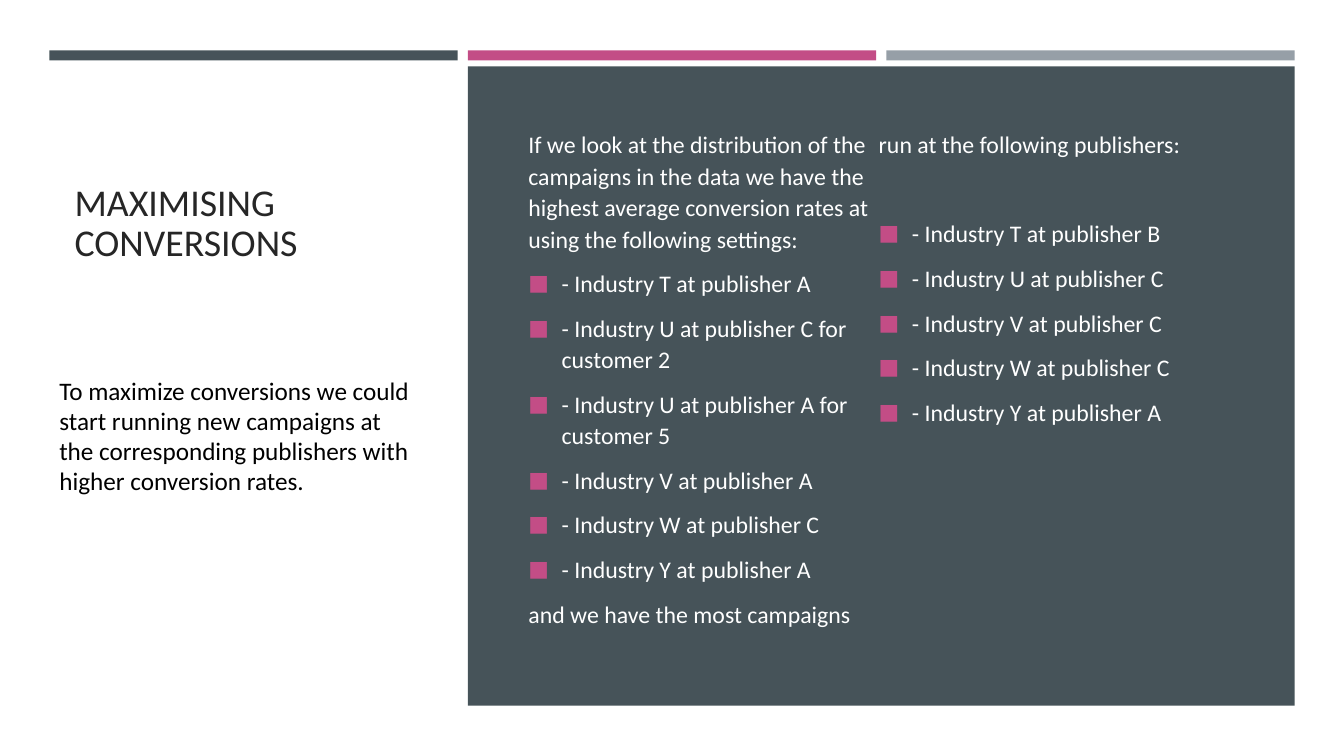
from lxml.etree import SubElement
from pptx import Presentation
from pptx.dml.color import RGBColor
from pptx.enum.shapes import MSO_SHAPE
from pptx.enum.text import MSO_ANCHOR, MSO_AUTO_SIZE, PP_ALIGN
from pptx.oxml.ns import qn
from pptx.util import Inches, Pt

SLATE, PINK, GREY, WHITE = "465359", "C34D86", "969FA7", "FFFFFF"
BEST = [
    "Industry T at publisher A",
    "Industry U at publisher C for customer 2",
    "Industry U at publisher A for customer 5",
    "Industry V at publisher A",
    "Industry W at publisher C",
    "Industry Y at publisher A",
]
MOST = [
    "Industry T at publisher B",
    "Industry U at publisher C",
    "Industry V at publisher C",
    "Industry W at publisher C",
    "Industry Y at publisher A",
]


def color(code):
    return RGBColor.from_string(code)


def apply(item, **values):
    for name, value in values.items():
        setattr(item, name, value)


def place(shape, *box):
    sides = ("left", "top", "width", "height")
    apply(shape, **{side: Inches(size) for side, size in zip(sides, box)})


def block(slide, fill, *box):
    shape = slide.shapes.add_shape(MSO_SHAPE.RECTANGLE, *map(Inches, box))
    shape.shadow.inherit = False
    shape.fill.solid()
    shape.fill.fore_color.rgb = color(fill)
    shape.line.fill.background()


def write(para, text, size, ink, **layout):
    run = para.add_run()
    run.text = text
    apply(run.font, name="Calibri", size=Pt(size))
    run.font.color.rgb = color(ink)
    apply(para, alignment=PP_ALIGN.LEFT, **layout)


def mark(para, bullet):
    """Give a paragraph a pink square bullet, or none at all."""
    props = para._p.get_or_add_pPr()
    indent = Inches(0.33) if bullet else 0
    props.set("marL", str(indent))
    props.set("indent", str(-indent))
    if not bullet:
        SubElement(props, qn("a:buNone"))
        return
    tint = SubElement(props, qn("a:buClr"))
    SubElement(tint, qn("a:srgbClr"), val=PINK)
    SubElement(props, qn("a:buSzPct"), val="92000")
    SubElement(props, qn("a:buFont"), typeface="Calibri")
    SubElement(props, qn("a:buChar"), char="■")


def fill_title(title):
    place(title, 0.64, 1.17, 3.52, 2.11)
    frame = title.text_frame
    apply(frame, vertical_anchor=MSO_ANCHOR.MIDDLE, word_wrap=True,
          auto_size=MSO_AUTO_SIZE.NONE)
    write(frame.paragraphs[0], "MAXIMISING CONVERSIONS", 27, "262626",
          line_spacing=0.9)


def fill_body(body):
    place(body, 5.14, 1.17, 7.15, 5.15)
    frame = body.text_frame
    apply(frame, vertical_anchor=MSO_ANCHOR.MIDDLE, word_wrap=True,
          auto_size=MSO_AUTO_SIZE.NONE)
    frame._txBody.bodyPr.set("numCol", "2")
    parts = [
        ("If we look at the distribution of the campaigns in the data we have "
         "the highest average conversion rates at using the following "
         "settings:", BEST, 3.4),
        ("and we have the most campaigns run at the following publishers:",
         MOST, 35.2),
    ]
    para = frame.paragraphs[0]
    for lead, items, gap in parts:
        rows = [(lead, False, 3.4)]
        rows += [(f"- {item}", True, 3.4 if i else gap)
                 for i, item in enumerate(items)]
        for text, bullet, before in rows:
            para = para or frame.add_paragraph()
            write(para, text, 17, WHITE, line_spacing=1.1,
                  space_before=Pt(before), space_after=Pt(6))
            mark(para, bullet)
            para = None


def add_note(slide):
    box = slide.shapes.add_textbox(*map(Inches, (0.49, 3.28, 3.76, 2)))
    frame = box.text_frame
    apply(frame, word_wrap=True, margin_top=Inches(0.44))
    write(frame.paragraphs[0],
          "To maximize conversions we could start running new campaigns at "
          "the corresponding publishers with higher conversion rates.",
          18, "000000", space_after=Pt(6))


def main():
    deck = Presentation()
    apply(deck, slide_width=Inches(13.33), slide_height=Inches(7.5))
    slide = deck.slides.add_slide(deck.slide_layouts[1])
    back = slide.background.fill
    back.solid()
    back.fore_color.rgb = color("242941")
    title, body = slide.placeholders
    block(slide, WHITE, 0, 0, 13.33, 7.5)
    for i, fill in enumerate((SLATE, PINK, GREY)):
        block(slide, fill, 0.49 + 4.15 * i, 0.5, 4.05, 0.1)
    block(slide, SLATE, 4.64, 0.66, 8.2, 6.34)
    for holder in (title, body):
        slide.shapes._spTree.append(holder.element)
    fill_title(title)
    fill_body(body)
    add_note(slide)
    deck.save("out.pptx")


if __name__ == "__main__":
    main()
